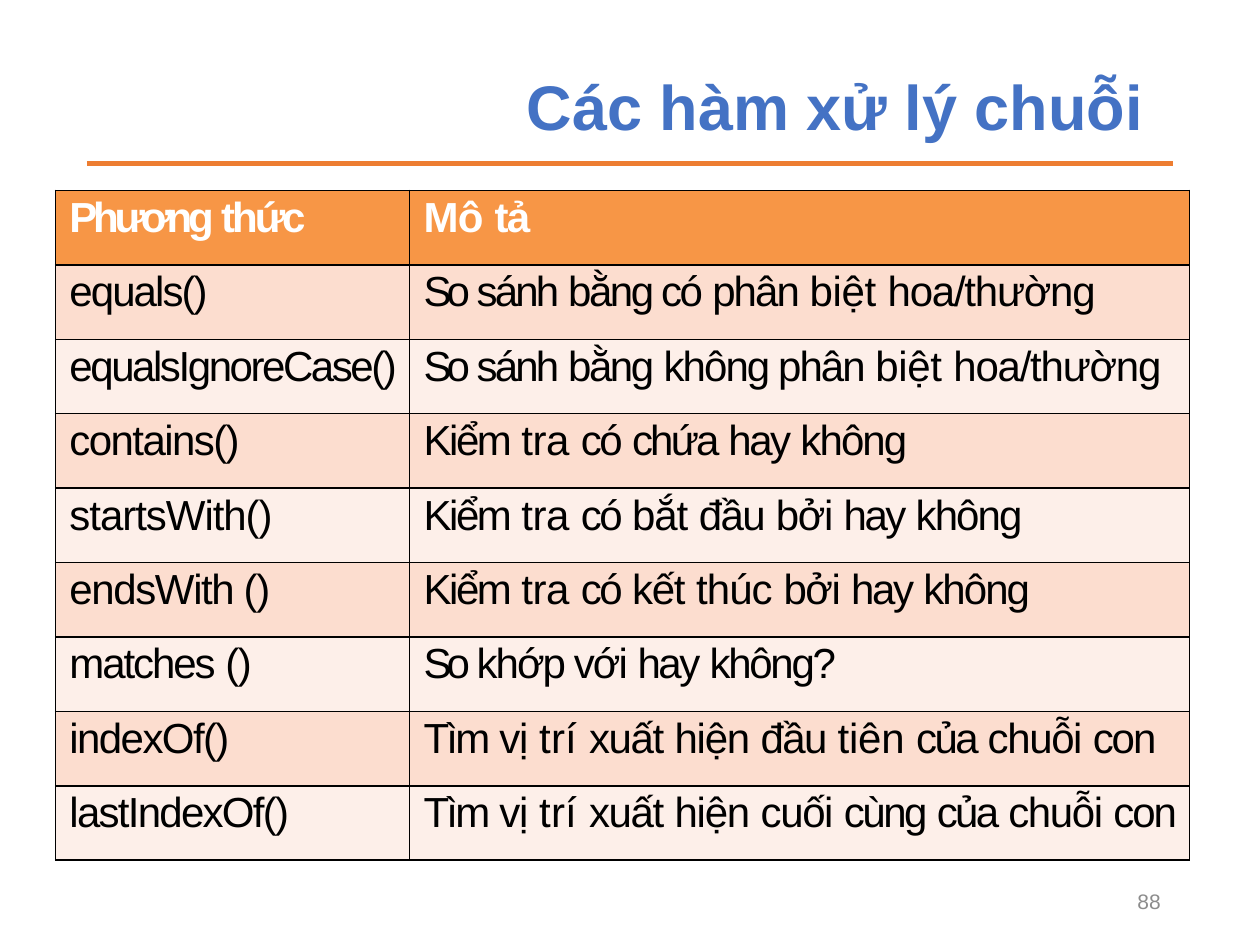
from dataclasses import dataclass

from lxml import etree
from pptx import Presentation
from pptx.dml.color import RGBColor
from pptx.enum.shapes import MSO_CONNECTOR
from pptx.enum.text import MSO_ANCHOR, MSO_AUTO_SIZE, PP_ALIGN
from pptx.oxml.ns import qn
from pptx.util import Cm, Pt

STRAIGHT = MSO_CONNECTOR.STRAIGHT
MIDDLE = MSO_ANCHOR.MIDDLE
NO_FIT = MSO_AUTO_SIZE.NONE
RIGHT = PP_ALIGN.RIGHT
TITLE_ONLY = 5


@dataclass(frozen=True)
class Theme:
    font: str = "Arial"
    title_size: float = 36
    table_size: float = 24
    number_size: float = 12
    title: str = "4472C4"
    rule: str = "ED7D31"
    number: str = "8C8C8C"
    border: str = "000000"
    header_text: str = "FFFFFF"
    body_text: str = "000000"
    header_fill: str = "F79646"
    bands: tuple = ("FCDDCF", "FDEFE9")


HEADER = ("Phương thức", "Mô tả")
METHODS = [
    ("equals()", "So sánh bằng có phân biệt hoa/thường"),
    ("equalsIgnoreCase()", "So sánh bằng không phân biệt hoa/thường"),
    ("contains()", "Kiểm tra có chứa hay không"),
    ("startsWith()", "Kiểm tra có bắt đầu bởi hay không"),
    ("endsWith ()", "Kiểm tra có kết thúc bởi hay không"),
    ("matches ()", "So khớp với hay không?"),
    ("indexOf()", "Tìm vị trí xuất hiện đầu tiên của chuỗi con"),
    ("lastIndexOf()", "Tìm vị trí xuất hiện cuối cùng của chuỗi con"),
]

# Letter spacing in points, listed by the words that share it
TRACKING = {
    -2.9: "So",
    -2.4: "Phương",
    -1.7: "thức",
    -1.6: "sánh chứa Tìm",
    -1.5: "của",
    -1.4: "bằng có equalsIgnoreCase() Kiểm hay cùng",
    -1.3: "không?",
    -1.2: "matches con",
    -1.1: "equals() phân không khớp với",
    -1.0: "lastIndexOf()",
    -0.9: "tả contains() đầu indexOf()",
    -0.8: "bởi endsWith () xuất chuỗi cuối",
    -0.7: "hoa/thường kết hiện",
    -0.6: "startsWith() bắt vị",
    -0.5: "thúc",
    -0.4: "Mô",
    -0.2: "biệt tra",
    -0.1: "tiên",
    0.1: "trí",
}
SPACING = {word: pts for pts, words in TRACKING.items() for word in words.split()}


class Deck:
    def __init__(self, prs, theme):
        self.theme = theme
        self.s = prs.slides.add_slide(prs.slide_layouts[TITLE_ONLY])

    def add_run(self, p, text, size, color, bold=False):
        r = p.add_run()
        r.text = text
        r.font.name = self.theme.font
        r.font.size = Pt(size)
        r.font.bold = bold
        r.font.color.rgb = RGBColor.from_string(color)
        return r

    def place_text(self, sp, box, text, size, color, bold=False):
        sp.left, sp.top, sp.width, sp.height = [Cm(v) for v in box]
        tf = sp.text_frame
        tf.word_wrap = True
        tf.auto_size = NO_FIT
        tf.vertical_anchor = MIDDLE
        p = tf.paragraphs[0]
        p.alignment = RIGHT
        self.add_run(p, text, size, color, bold)
        return p

    def title(self, text, box):
        t = self.theme
        p = self.place_text(self.s.shapes.title, box, text, t.title_size, t.title, True)
        p.line_spacing = 0.9

    def slide_number(self, text, box):
        sp = self.s.shapes.add_textbox(*[Cm(v) for v in box])
        self.place_text(sp, box, text, self.theme.number_size, self.theme.number)

    def rule(self, left, right, y):
        line = self.s.shapes.add_connector(STRAIGHT, Cm(left), Cm(y), Cm(right), Cm(y))
        line.line.color.rgb = RGBColor.from_string(self.theme.rule)
        line.line.width = Pt(2.75)
        etree.SubElement(line._element.spPr, qn("a:effectLst"))

    def table(self, rows, left, top, col_widths, row_height):
        t = self.theme
        frame = self.s.shapes.add_table(
            len(rows), len(col_widths), Cm(left), Cm(top),
            Cm(sum(col_widths)), Cm(row_height * len(rows)))
        table = frame.table
        for column, width in zip(table.columns, col_widths):
            column.width = Cm(width)
        for i, row in enumerate(rows):
            table.rows[i].height = Cm(row_height)
            fill = t.bands[(i - 1) % 2] if i else t.header_fill
            color = t.body_text if i else t.header_text
            for j, text in enumerate(row):
                self.cell(table.cell(i, j), text, fill, color, bold=i == 0)

    def cell(self, cell, text, fill, color, bold):
        cell.margin_left = cell.margin_right = cell.margin_bottom = 0
        cell.margin_top = Cm(0.08)
        # Borders come before the fill in the cell properties
        tcPr = cell._tc.get_or_add_tcPr()
        for side in ("lnL", "lnR", "lnT", "lnB"):
            ln = etree.SubElement(tcPr, qn(f"a:{side}"), w=str(Pt(1)))
            solid = etree.SubElement(ln, qn("a:solidFill"))
            etree.SubElement(solid, qn("a:srgbClr"), val=self.theme.border)
        cell.fill.solid()
        cell.fill.fore_color.rgb = RGBColor.from_string(fill)

        p = cell.text_frame.paragraphs[0]
        p._p.get_or_add_pPr().set("marL", str(Cm(0.28)))
        p.space_before = Pt(2)
        words = text.split()
        for k, word in enumerate(words, 1):
            gap = " " if k < len(words) else ""
            r = self.add_run(p, word + gap, self.theme.table_size, color, bold)
            r._r.get_or_add_rPr().set("spc", str(round(SPACING[word] * 100)))


def main():
    prs = Presentation()
    prs.slide_width, prs.slide_height = Cm(25.4), Cm(19.05)
    deck = Deck(prs, Theme())

    # Heading with its rule
    deck.title("Các hàm xử lý chuỗi ", (1.75, 1.35, 21.9, 1.73))
    deck.rule(1.75, 23.65, 3.3)

    # String methods
    deck.table([HEADER, *METHODS], 1.12, 3.84, (7.14, 15.72), 1.5)

    # Footer
    deck.slide_number("88", (17.93, 17.65, 5.72, 1.02))
    prs.save("out.pptx")


if __name__ == "__main__":
    main()
